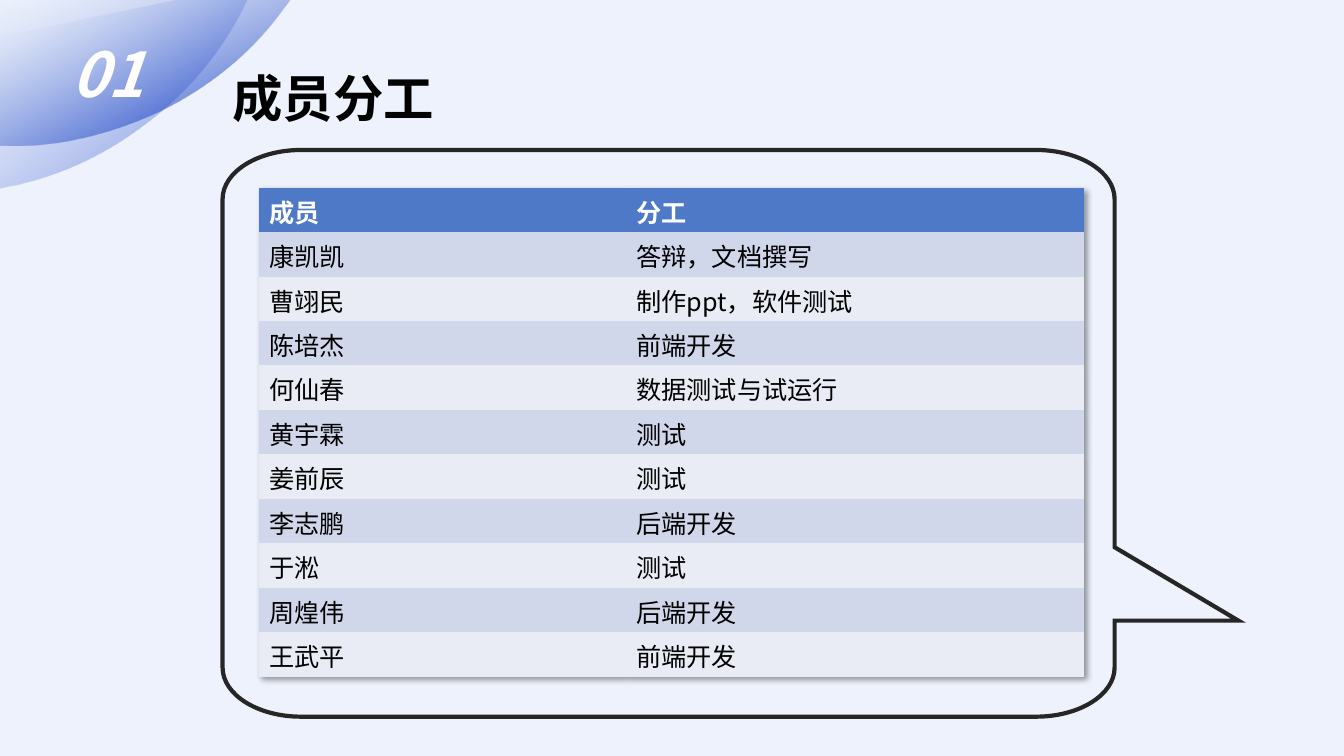
import pptx
import pptx.util
import pptx.dml.color
import pptx.enum.text
import pptx.oxml
import pptx.oxml.ns
import lxml.etree

Cm = pptx.util.Cm
RGB = pptx.dml.color.RGBColor
qn = pptx.oxml.ns.qn

FONT = "Noto Sans CJK SC"
PLAIN = "{2D5ABB26-0587-4C30-8999-92F81FD0307C}"
PALE = RGB(0xEE, 0xF2, 0xFD)
MIST = RGB(0x88, 0xA5, 0xD9)
SKY = RGB(0x84, 0x9D, 0xEB)
BLUE = RGB(0x21, 0x48, 0xC8)
HEAD = RGB(0x4E, 0x79, 0xC7)
BANDS = [RGB(0xD0, 0xD7, 0xEB), RGB(0xE9, 0xEC, 0xF5)]
INK = RGB(0x26, 0x26, 0x26)
BLACK = RGB(0, 0, 0)
WHITE = RGB(0xFF, 0xFF, 0xFF)

ROWS = [
    ("成员", "分工"),
    ("康凯凯", "答辩，文档撰写"),
    ("曹翊民", "制作ppt，软件测试"),
    ("陈培杰", "前端开发"),
    ("何仙春", "数据测试与试运行"),
    ("黄宇霖", "测试"),
    ("姜前辰", "测试"),
    ("李志鹏", "后端开发"),
    ("于淞", "测试"),
    ("周煌伟", "后端开发"),
    ("王武平", "前端开发"),
]

SHADE = (
    '<a:effectLst xmlns:a="http://schemas.openxmlformats.org/drawingml/2006/main">'
    '<a:outerShdw blurRad="50800" dist="38100" dir="2700000" algn="tl">'
    '<a:srgbClr val="000000"><a:alpha val="40000"/></a:srgbClr>'
    '</a:outerShdw></a:effectLst>'
)


def style(para, size, color, bold=False, slant=False):
    for run in para.runs:
        font = run.font
        font.name = FONT
        font.size = pptx.util.Pt(size)
        font.color.rgb = color
        font.bold = bold
        font.italic = slant
        east = lxml.etree.SubElement(run._r.get_or_add_rPr(), qn("a:ea"))
        east.set("typeface", FONT)


def outline(slide, box, start, parts):
    left, top = box[:2]
    build = slide.shapes.build_freeform(Cm(left + start[0]), Cm(top + start[1]))
    build.add_line_segments(
        [(Cm(left + x), Cm(top + y)) for part in parts for x, y in part], close=True
    )
    shape = build.convert_to_shape()
    shape.shadow.inherit = False
    lines = iter(list(shape._element.iter(qn("a:lnTo"))))
    for part in parts:
        group = [next(lines) for spot in part]
        if len(group) == 3:
            bend = lxml.etree.Element(qn("a:cubicBezTo"))
            group[0].addprevious(bend)
            for line in group:
                bend.append(line[0])
                line.getparent().remove(line)
    return shape


def petal(slide, box, start, parts, stops, angle):
    shape = outline(slide, box, start, parts)
    shape.line.fill.background()
    fill = shape.fill
    fill.gradient()
    fill.gradient_angle = angle
    for stop, (place, color, alpha) in zip(fill.gradient_stops, stops):
        stop.position = place
        stop.color.rgb = color
        tint = stop._gs.find(qn("a:srgbClr"))
        lxml.etree.SubElement(tint, qn("a:alpha")).set("val", str(alpha * 1000))


def corner(slide, box):
    petal(
        slide, box, (0, 0),
        [[(7.32, 0)], [(7.09, 0.3)],
         [(6.32, 1.35), (5.26, 2.21), (3.99, 2.82)],
         [(2.72, 3.4), (1.37, 3.71), (0.1, 3.66)],
         [(0, 3.66)]],
        [(0, MIST, 0), (0.66, BLUE, 55)], 295,
    )
    petal(
        slide, box, (0, 0.94),
        [[(4.52, 0)], [(6.22, 0)], [(6.22, 0.03)],
         [(5.69, 1.17), (4.83, 2.26), (3.71, 3.1)],
         [(2.59, 3.96), (1.35, 4.5), (0.08, 4.72)],
         [(0, 4.75)]],
        [(0.1, SKY, 0), (0.62, BLUE, 30)], 307,
    )


def label(slide, box, text, size, color, slant=False):
    frame = slide.shapes.add_textbox(*map(Cm, box)).text_frame
    frame.word_wrap = False
    frame.vertical_anchor = pptx.enum.text.MSO_ANCHOR.MIDDLE
    frame.text = text
    style(frame.paragraphs[0], size, color, True, slant)


def roster(slide, box):
    width, height = box[2:]
    table = slide.shapes.add_table(len(ROWS), 2, *map(Cm, box)).table
    first = 9.25
    table.columns[0].width = Cm(first)
    table.columns[1].width = Cm(width - first)
    props = table._tbl.tblPr
    props.find(qn("a:tableStyleId")).text = PLAIN
    props.insert(0, pptx.oxml.parse_xml(SHADE))
    for i, words in enumerate(ROWS):
        table.rows[i].height = Cm(height / len(ROWS))
        for j, word in enumerate(words):
            cell = table.cell(i, j)
            cell.margin_top = Cm(0.13)
            cell.margin_bottom = Cm(0.07)
            cell.fill.solid()
            cell.fill.fore_color.rgb = BANDS[(i - 1) % 2] if i else HEAD
            cell.text_frame.text = word
            style(cell.text_frame.paragraphs[0], 18, BLACK if i else WHITE, i == 0)


def bubble(slide, box):
    width, height = box[2:]
    wide, tall = 1.98, 1.24
    near, far = 0.89, 0.55
    right, low = width - wide, height - tall
    shape = outline(slide, box, (right, 0), [
        [(wide, 0)],
        [(near, 0), (0, far), (0, tall)],
        [(0, low)],
        [(0, height - far), (near, height), (wide, height)],
        [(right, height)],
        [(width - near, height), (width, height - far), (width, low)],
        [(width, 11.86)], [(width + 3.12, 11.86)], [(width, 10.01)],
        [(width, tall)],
        [(width, far), (width - near, 0), (right, 0)],
    ])
    shape.fill.background()
    shape.line.color.rgb = INK
    shape.line.width = pptx.util.Pt(3)
    edge = shape.line._get_or_add_ln()
    lxml.etree.SubElement(edge, qn("a:miter")).set("lim", "800000")


def main():
    deck = pptx.Presentation()
    deck.slide_width = Cm(33.87)
    deck.slide_height = Cm(19.05)
    slide = deck.slides.add_slide(deck.slide_layouts[6])
    slide.background.fill.solid()
    slide.background.fill.fore_color.rgb = PALE
    corner(slide, (0, 0))
    label(slide, (1.55, 0.77, 2.44, 2.13), "01", 44, WHITE, True)
    label(slide, (5.61, 1.55, 5.64, 1.8), "成员分工", 36, BLACK)
    roster(slide, (6.53, 4.73, 20.78, 12.32))
    bubble(slide, (5.61, 3.78, 22.48, 14.28))
    deck.save("out.pptx")


if __name__ == "__main__":
    main()
